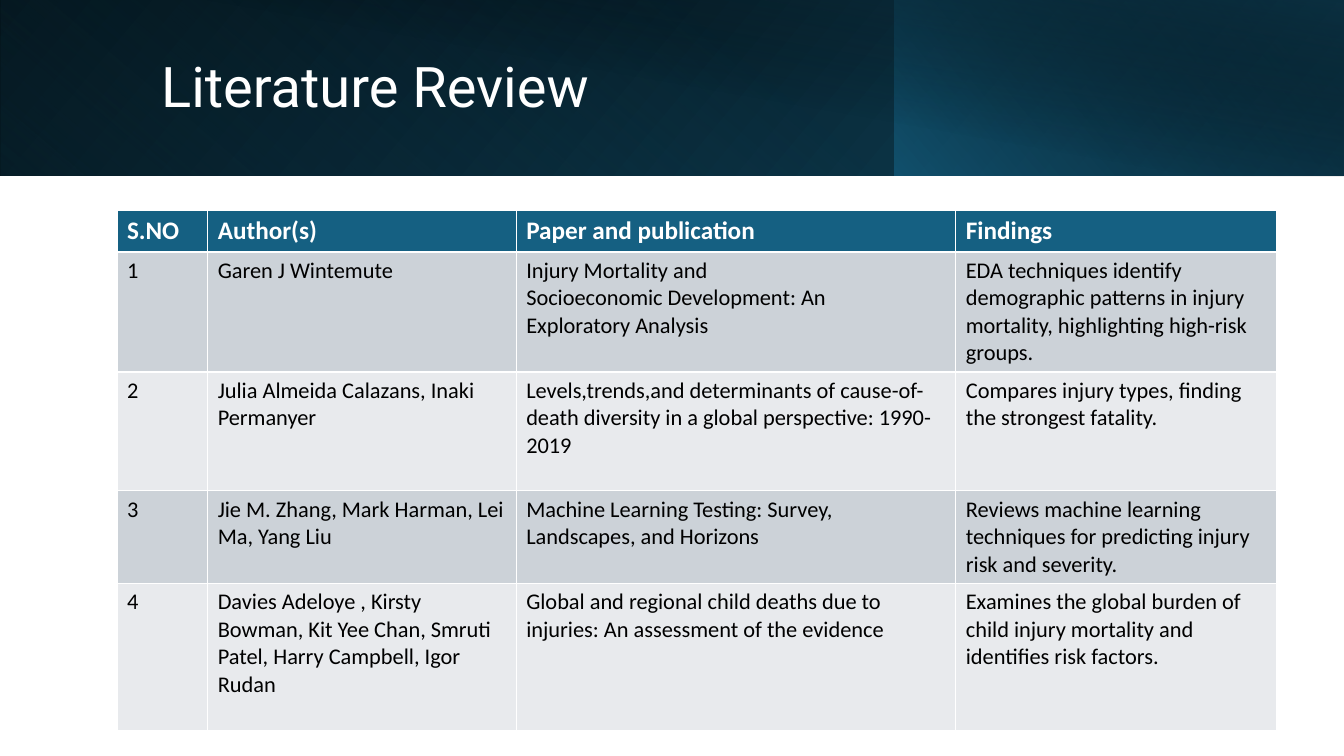
from lxml import etree
from pptx import Presentation
from pptx.dml.color import RGBColor as RGB
from pptx.enum.shapes import MSO_SHAPE as Shape
from pptx.enum.text import MSO_ANCHOR as Anchor
from pptx.oxml.ns import qn
from pptx.util import Inches, Pt

THEME = {
    "title_font": "Roboto", "body_font": "Calibri",
    "title_size": 40, "head_size": 18, "body_size": 16,
    "white": "FFFFFF", "black": "000000", "teal": "156082",
    "deep": "104862", "navy": "0B3041",
    "bands": ("CCD2D8", "E8EAED"),
}

TITLE = "Literature Review"
HEADINGS = ("S.NO", "Author(s)", "Paper and publication", "Findings")
PAPERS = [
    ("Garen J Wintemute",
     "Injury Mortality and\nSocioeconomic Development: An\nExploratory Analysis",
     "EDA techniques identify demographic patterns in injury mortality, "
     "highlighting high-risk groups."),
    ("Julia Almeida Calazans, Inaki Permanyer",
     "Levels,trends,and determinants of cause-of-death diversity in a global "
     "perspective: 1990-2019",
     "Compares injury types, finding the strongest fatality."),
    ("Jie M. Zhang, Mark Harman, Lei Ma, Yang Liu",
     "Machine Learning Testing: Survey, Landscapes, and Horizons",
     "Reviews machine learning techniques for predicting injury risk and severity."),
    ("Davies Adeloye , Kirsty Bowman, Kit Yee Chan, Smruti Patel, Harry Campbell, "
     "Igor Rudan",
     "Global and regional child deaths due to injuries: An assessment of the evidence",
     "Examines the global burden of child injury mortality and identifies risk factors."),
]
COL_WIDTHS = (0.9, 3.06, 4.36, 3.18)
ROW_HEIGHTS = (0.41, 1.19, 1.18, 0.92, 1.46)

# left, width, height, rotation, flipped, angle, stops of (position, colour, opacity)
BANNER = [
    (0, 13.33, 1.74, 0, True, 140, ((0, "black", 100), (100, "deep", 100))),
    (0, 8.88, 1.74, 180, True, 230, ((20, "teal", 0), (100, "navy", 55))),
    (8.87, 4.46, 1.74, 0, True, 220, ((0, "teal", 66), (100, "black", 30))),
    (0.5, 12.83, 1.75, 0, False, 280, ((50, "black", 0), (99, "navy", 52))),
]


def color(name):
    return RGB.from_string(THEME.get(name, name))


def set_gradient(sp, angle, stops):
    sp.fill.gradient()
    grad = sp._element.spPr.find(qn("a:gradFill"))
    for child in list(grad):
        grad.remove(child)
    stop_list = etree.SubElement(grad, qn("a:gsLst"))
    for position, name, opacity in stops:
        gs = etree.SubElement(stop_list, qn("a:gs"), pos=str(position * 1000))
        clr = etree.SubElement(gs, qn("a:srgbClr"), val=THEME[name])
        if opacity < 100:
            etree.SubElement(clr, qn("a:alpha"), val=str(opacity * 1000))
    etree.SubElement(grad, qn("a:lin"), ang=str(angle * 60000), scaled="0")


def style(p, font, size, name, bold=False):
    p.font.name = THEME[font]
    p.font.size = Pt(THEME[size])
    p.font.color.rgb = color(name)
    p.font.bold = bold


def add_banner(s):
    for left, width, height, rotation, flipped, angle, stops in BANNER:
        sp = s.shapes.add_shape(Shape.RECTANGLE, Inches(left), 0,
                                Inches(width), Inches(height))
        sp.shadow.inherit = False
        sp.line.fill.background()
        sp.rotation = rotation
        if flipped:
            sp._element.spPr.find(qn("a:xfrm")).set("flipH", "1")
        set_gradient(sp, angle, stops)


def add_title(s):
    tf = s.shapes.add_textbox(Inches(1.5), Inches(0.32),
                              Inches(10.82), Inches(1.13)).text_frame
    tf.word_wrap = True
    tf.vertical_anchor = Anchor.MIDDLE
    p = tf.paragraphs[0]
    p.text = TITLE
    p.line_spacing = 0.9
    style(p, "title_font", "title_size", "white")


def add_papers(s):
    rows = [HEADINGS] + [(str(n), *paper) for n, paper in enumerate(PAPERS, 1)]
    table = s.shapes.add_table(len(rows), len(HEADINGS), Inches(1.16), Inches(2.09),
                               Inches(sum(COL_WIDTHS)), Inches(sum(ROW_HEIGHTS))).table
    for column, width in zip(table.columns, COL_WIDTHS):
        column.width = Inches(width)
    for i, (row, height, texts) in enumerate(zip(table.rows, ROW_HEIGHTS, rows)):
        row.height = Inches(height)
        head = i == 0
        for cell, text in zip(row.cells, texts):
            cell.fill.solid()
            cell.fill.fore_color.rgb = color("teal" if head else THEME["bands"][(i - 1) % 2])
            cell.text_frame.text = text
            for p in cell.text_frame.paragraphs:
                style(p, "body_font", "head_size" if head else "body_size",
                      "white" if head else "black", head)


def main():
    prs = Presentation()
    prs.slide_width, prs.slide_height = Inches(13.33), Inches(7.5)
    s = prs.slides.add_slide(prs.slide_layouts[6])
    add_banner(s)
    add_title(s)
    add_papers(s)
    prs.save("out.pptx")


if __name__ == "__main__":
    main()
